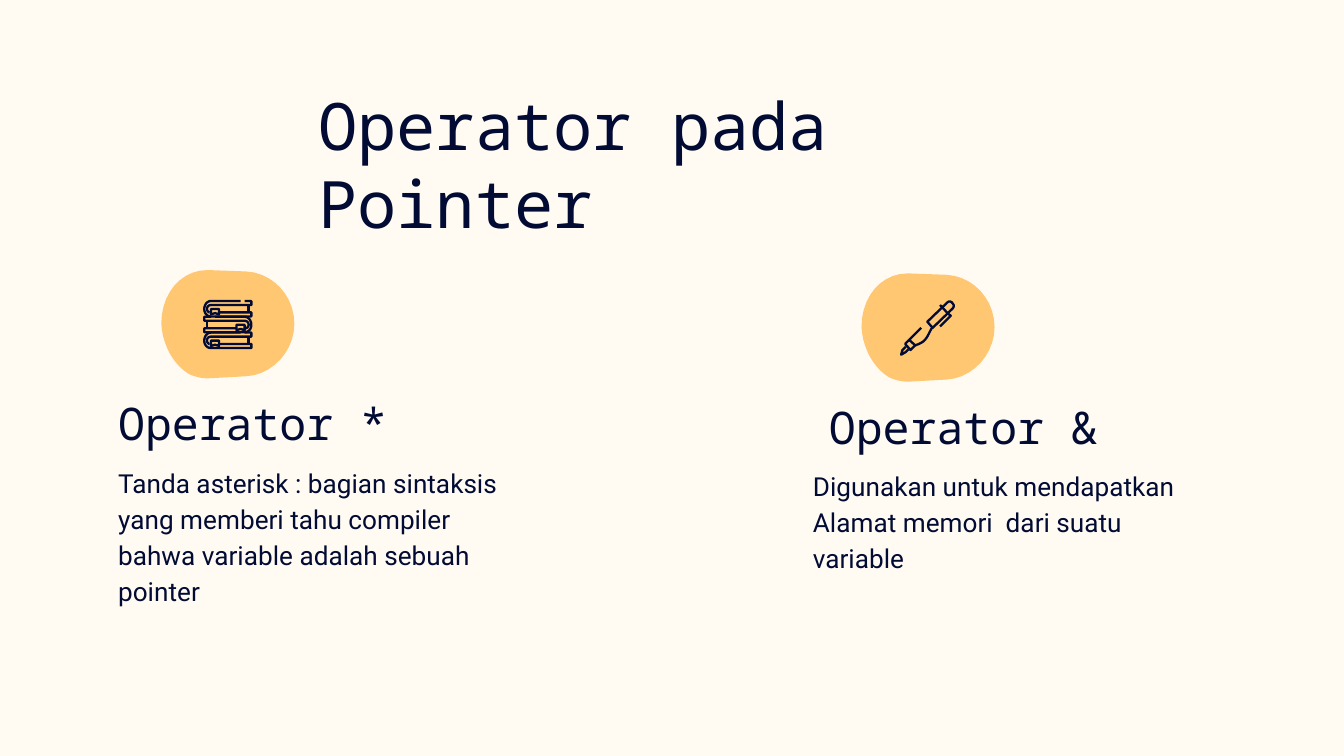
from pptx import Presentation
from pptx.dml.color import RGBColor
from pptx.enum import text as t
from pptx.util import Pt

CREAM = RGBColor(0xFF, 0xFB, 0xF3)
NAVY = RGBColor(0x01, 0x0B, 0x33)
AMBER = RGBColor(0xFF, 0xC7, 0x72)
MONO, SANS = "Noto Sans Mono", "Roboto"
UNIT = 0.72  # points per unit of the outlines below
CURVE_STEPS = 10

# An outline starts at a point; each step is a line end (x, y)
# or a cubic curve (x1, y1, x2, y2, x, y).
BLOB_SIZE = (99, 81)
BLOB = [[(34, 0), (15, 0, 0, 17, 0, 40), (1, 56, 9, 70, 20, 77),
         (20, 77, 27, 81, 36, 80.5), (63, 79), (83, 78, 99, 60, 99, 40),
         (99, 19, 83, 2, 63, 1), (36, 0), (34, 0)]]

BOOKS_SIZE = (37, 37)
BOOK_PITCH = 11.75
BOOK = [
    # Cover with its spine
    [(28, 1), (6, 1), (3, 1, 1, 4, 1, 7), (1, 10, 3, 12.5, 6, 12.5),
     (36, 12.5), (36, 9.5), (12, 9.5)],
    # Upper board and the inside of the spine
    [(31, 1), (36, 1), (36, 4), (6, 4), (4, 4, 3, 5.5, 3, 7),
     (3, 8, 4, 9.5, 5, 9.5)],
    # Page edge
    [(34, 4), (34, 9.5)],
    # Bookmark
    [(6, 7), (12, 7), (12, 11), (9, 10), (6, 11), (6, 7)],
]

PEN_SIZE = (41, 41)
PEN = [
    # Barrel and the band of the cap
    [(20, 16), (34.5, 2), (36.5, 0, 38, 1, 39, 2.5),
     (40, 3.5, 40, 5, 38.5, 6.5), (24, 20.5), (20, 16)],
    [(29.5, 3.5), (35.5, 10)],
    # Clip
    [(35.5, 10), (37.5, 11.5), (29.5, 19.5)],
    # Grip
    [(15.5, 20.5), (6.5, 29.5), (11, 33.5), (20, 31, 20, 26, 23.5, 20.5)],
    # Collar and nib
    [(6.5, 29.5), (3.5, 32.5), (7.5, 37), (11, 33.5)],
    [(4, 34.5), (1.5, 37), (0.5, 40.5), (4, 38.5), (6, 36.5)],
]


def shift_book(index):
    """Return the strokes of one book in the stack; odd ones are mirrored."""
    def place(step):
        return tuple(value + index * BOOK_PITCH if i % 2
                     else (BOOKS_SIZE[0] - value if index % 2 else value)
                     for i, value in enumerate(step))
    return [[place(step) for step in stroke] for stroke in BOOK]


BOOKS = [stroke for index in range(3) for stroke in shift_book(index)]


def flatten(stroke):
    """Turn lines and cubic curves into a list of points."""
    points = [stroke[0]]
    for step in stroke[1:]:
        if len(step) == 2:
            points.append(step)
            continue
        x0, y0 = points[-1]
        x1, y1, x2, y2, x3, y3 = step
        for i in range(1, CURVE_STEPS + 1):
            b = i / CURVE_STEPS
            a = 1 - b
            weights = (a ** 3, 3 * a * a * b, 3 * a * b * b, b ** 3)
            points.append(tuple(
                sum(w * v for w, v in zip(weights, values))
                for values in ((x0, x1, x2, x3), (y0, y1, y2, y3))))
    return points


def add_outline(page, left, top, strokes, fill=None, line=None):
    def place(point):
        return Pt(left + point[0] * UNIT), Pt(top + point[1] * UNIT)

    builder = None
    for stroke in strokes:
        points = [place(point) for point in flatten(stroke)]
        if builder is None:
            builder = page.shapes.build_freeform(*points[0])
        else:
            builder.move_to(*points[0])
        builder.add_line_segments(points[1:], close=stroke[0] == stroke[-1])
    shape = builder.convert_to_shape()
    shape.shadow.inherit = False
    if fill is None:
        shape.fill.background()
    else:
        shape.fill.solid()
        shape.fill.fore_color.rgb = fill
    if line is None:
        shape.line.fill.background()
    else:
        shape.line.color.rgb = line
        shape.line.width = Pt(1.25)


def add_text(page, words, left, top, width, height, *, size, font,
             spacing=1.0, anchor=t.MSO_ANCHOR.TOP):
    box = page.shapes.add_textbox(Pt(left), Pt(top), Pt(width), Pt(height))
    frame = box.text_frame
    frame.word_wrap = True
    frame.vertical_anchor = anchor
    frame.margin_left = frame.margin_right = Pt(7.2)
    frame.margin_top = frame.margin_bottom = Pt(7.2)
    para = frame.paragraphs[0]
    para.line_spacing = spacing
    span = para.add_run()
    span.text = words
    span.font.size = Pt(size)
    span.font.name = font
    span.font.color.rgb = NAVY


def add_badge(page, left, top, icon, icon_size):
    """Amber blob with an icon in its middle."""
    add_outline(page, left, top, BLOB, fill=AMBER)
    dx, dy = ((outer - inner) / 2 * UNIT
              for outer, inner in zip(BLOB_SIZE, icon_size))
    add_outline(page, left + dx, top + dy, icon, line=NAVY)


def add_operator(page, left, top, heading, body, icon, icon_size,
                 badge_indent, heading_indent=0):
    add_text(page, body, left, top + 96, 226.8, 80,
             size=14, font=SANS, spacing=1.15)
    add_text(page, heading, left + heading_indent, top + 58, 171.4, 45.4,
             size=24, font=MONO, spacing=1.15, anchor=t.MSO_ANCHOR.BOTTOM)
    add_badge(page, left + badge_indent, top, icon, icon_size)


def main():
    deck = Presentation()
    deck.slide_width, deck.slide_height = Pt(720), Pt(405)
    page = deck.slides.add_slide(deck.slide_layouts[6])
    page.background.fill.solid()
    page.background.fill.fore_color.rgb = CREAM

    # Title
    add_text(page, "Operator pada Pointer", 163.4, 38.2, 424.8, 45.4,
             size=35, font=MONO)

    # Operators
    add_operator(page, 56.2, 144.7, "Operator *",
                 "Tanda asterisk : bagian sintaksis yang memberi tahu "
                 "compiler bahwa variable adalah sebuah pointer",
                 BOOKS, BOOKS_SIZE, badge_indent=30.2)
    add_operator(page, 428.4, 146.5, "Operator &",
                 "Digunakan untuk mendapatkan Alamat memori  dari suatu "
                 "variable",
                 PEN, PEN_SIZE, badge_indent=33.1, heading_indent=8.6)

    deck.save("out.pptx")


if __name__ == "__main__":
    main()
